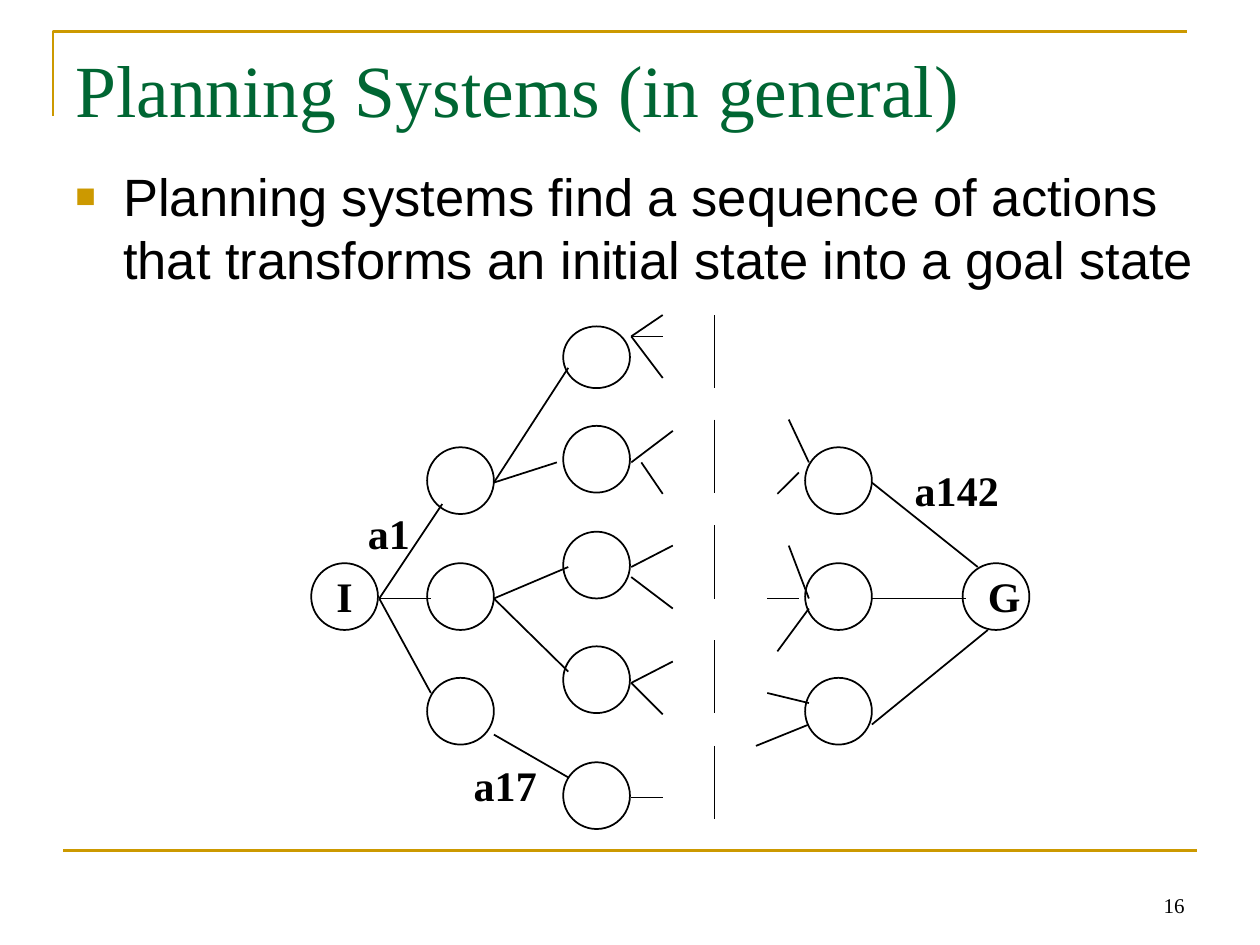
import pptx
import pptx.util
import pptx.dml.color
import pptx.enum.shapes
import pptx.enum.text
import pptx.oxml.ns
from lxml import etree

COLORS = {"gold": "CC9900", "green": "006633", "black": "000000"}
SERIF, SANS = "Times New Roman", "Arial"
W, H = 10, 7.5

TITLE = "Planning Systems (in general)"
BODY = ("Planning systems find a sequence of actions that transforms "
        "an initial state into a goal state")
PAGE = "16"

# Search graph: columns of state circles, as left edge and row tops
NODE = 0.53
TOP_NODE_HEIGHT = 0.49
ROWS = [3.55, 4.47, 5.38]
NODE_COLUMNS = [
    (2.47, [4.47]),
    (3.39, ROWS),
    (4.47, [2.59, 3.38, 4.22, 5.13, 6.05]),
    (6.39, ROWS),
    (7.64, [4.47]),
]
# Actions: the point each fan of lines leaves from, and where its lines end
FANS = [
    ((3.01, 4.75), [(3.42, 4.75), (3.51, 4), (3.42, 5.5)]),
    ((3.92, 3.83), [(4.42, 3.67), (4.51, 2.92)]),
    ((3.92, 4.75), [(4.51, 4.5), (4.51, 5.33)]),
    ((3.92, 5.83), [(4.51, 6.17)]),
    ((6.92, 3.83), [(7.76, 4.5)]),
    ((6.92, 4.75), [(7.67, 4.75)]),
    ((6.92, 5.75), [(7.84, 5)]),
    ((5.01, 2.67), [(5.26, 2.5), (5.26, 2.67), (5.26, 3)]),
    ((5.01, 3.67), [(5.34, 3.42)]),
    ((5.09, 3.67), [(5.26, 3.92)]),
    ((5.01, 4.5), [(5.34, 4.33)]),
    ((5.01, 4.58), [(5.34, 4.83)]),
    ((5.01, 5.42), [(5.34, 5.25), (5.26, 5.67)]),
    ((5.01, 6.33), [(5.26, 6.33)]),
    ((6.42, 3.67), [(6.26, 3.33)]),
    ((6.34, 3.75), [(6.17, 3.92)]),
    ((6.42, 4.75), [(6.26, 4.33)]),
    ((6.34, 4.75), [(6.09, 4.75)]),
    ((6.42, 4.83), [(6.17, 5.17)]),
    ((6.42, 5.58), [(6.09, 5.5)]),
    ((6.42, 5.75), [(6, 5.92)]),
]
DIVIDER_X, DASH = 5.67, 0.58
DIVIDER_TOPS = [2.5, 3.33, 4.17, 5.08, 5.92]
# Action and state names, as text, left, top and a width with room to spare
LABELS = [
    ("I", 2.6, 4.56, 0.3),
    ("G", 7.77, 4.56, 0.43),
    ("a1", 2.85, 4.06, 0.51),
    ("a17", 3.69, 6.06, 0.67),
    ("a142", 7.19, 3.72, 0.84),
]

inch = pptx.util.Inches
ANCHOR = pptx.enum.text.MSO_ANCHOR
ALIGN = pptx.enum.text.PP_ALIGN


def rgb(name):
    return pptx.dml.color.RGBColor.from_string(COLORS[name])


def set_line(sp, color, width):
    sp.line.color.rgb = rgb(color)
    sp.line.width = pptx.util.Pt(width)


def add_line(s, start, end, color="black", width=1):
    sp = s.shapes.add_connector(pptx.enum.shapes.MSO_CONNECTOR.STRAIGHT,
                                *(inch(v) for v in (*start, *end)))
    set_line(sp, color, width)
    etree.SubElement(sp._element.spPr, pptx.oxml.ns.qn("a:effectLst"))


def add_node(s, x, y, height=NODE):
    sp = s.shapes.add_shape(pptx.enum.shapes.MSO_SHAPE.OVAL,
                            inch(x), inch(y), inch(NODE), inch(height))
    sp.shadow.inherit = False
    sp.fill.background()
    set_line(sp, "black", 1)


def add_text(s, text, box, size, font=SERIF, color="black", bold=False,
             align=ALIGN.LEFT, anchor=ANCHOR.TOP, margins=(0.1, 0.05),
             wrap=True, spacing=None, before=None):
    tf = s.shapes.add_textbox(*(inch(v) for v in box)).text_frame
    tf.word_wrap = wrap
    tf.vertical_anchor = anchor
    tf.margin_left = tf.margin_right = inch(margins[0])
    tf.margin_top = tf.margin_bottom = inch(margins[1])
    p = tf.paragraphs[0]
    p.alignment = align
    if spacing:
        p.line_spacing = spacing
    if before:
        p.space_before = pptx.util.Pt(before)
    r = p.add_run()
    r.text = text
    r.font.name, r.font.size, r.font.bold = font, pptx.util.Pt(size), bold
    r.font.color.rgb = rgb(color)
    return p


def add_bullet(p, char, color, percent, indent):
    qn = pptx.oxml.ns.qn
    pPr = p._p.get_or_add_pPr()
    pPr.set("marL", str(inch(indent)))
    pPr.set("indent", str(-inch(indent)))
    clr = etree.SubElement(pPr, qn("a:buClr"))
    etree.SubElement(clr, qn("a:srgbClr"), val=COLORS[color])
    etree.SubElement(pPr, qn("a:buSzPct"), val=str(percent * 1000))
    etree.SubElement(pPr, qn("a:buFont"), typeface=SANS)
    etree.SubElement(pPr, qn("a:buChar"), char=char)


def add_frame(s):
    """Corner rule above the title and straight rule at the foot."""
    fb = s.shapes.build_freeform(inch(0.42), inch(0.92))
    fb.add_line_segments([(inch(0.42), inch(0.25)), (inch(9.42), inch(0.25))],
                         close=False)
    sp = fb.convert_to_shape()
    sp.shadow.inherit = False
    sp.fill.background()
    set_line(sp, "gold", 1.5)
    foot = 0.9 * H
    add_line(s, (0.05 * W, foot), (0.95 * W, foot), "gold", 1.5)


def main():
    prs = pptx.Presentation()
    prs.slide_width, prs.slide_height = inch(W), inch(H)
    s = prs.slides.add_slide(prs.slide_layouts[6])

    add_frame(s)
    add_text(s, TITLE, (0.5, 0.3, 9, 1.25), 42, color="green")
    p = add_text(s, BODY, (0.5, 1.25, 9.17, 1.25), 30, font=SANS, before=7.5)
    add_bullet(p, "■", "gold", 65, 0.38)

    top = min(y for _, tops in NODE_COLUMNS for y in tops)
    for x, tops in NODE_COLUMNS:
        for y in tops:
            add_node(s, x, y, TOP_NODE_HEIGHT if y == top else NODE)
    for start, ends in FANS:
        for end in ends:
            add_line(s, start, end)
    for y in DIVIDER_TOPS:
        add_line(s, (DIVIDER_X, y), (DIVIDER_X, y + DASH))
    for text, x, y, width in LABELS:
        add_text(s, text, (x, y, width, 0.4), 24, bold=True,
                 margins=(0.07, 0.03), spacing=0.85)

    add_text(s, PAGE, (7.17, 6.83, 2.33, 0.5), 12, align=ALIGN.RIGHT,
             anchor=ANCHOR.BOTTOM)
    prs.save("out.pptx")


if __name__ == "__main__":
    main()
